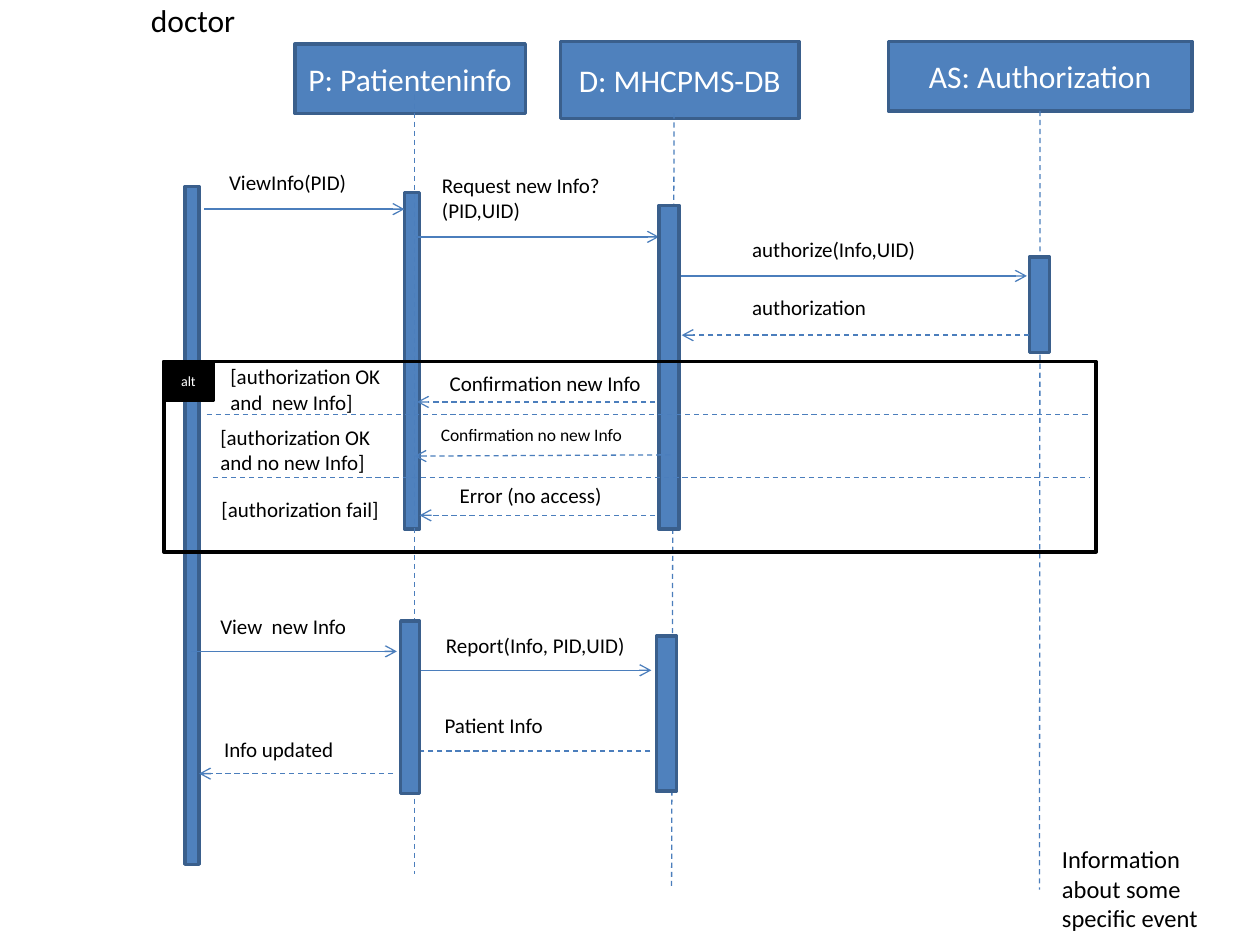
from lxml.etree import SubElement
from pptx import Presentation
from pptx.dml.color import RGBColor as RGB
from pptx.enum.dml import MSO_LINE as Dash
from pptx.enum.shapes import MSO_CONNECTOR as Conn, MSO_SHAPE as Shape
from pptx.enum.text import MSO_ANCHOR as Anchor, MSO_AUTO_SIZE as Fit, PP_ALIGN as Align
from pptx.oxml.ns import qn
from pptx.util import Inches, Pt

COLORS = {"blue": "4F81BD", "edge": "3A5F8C", "wire": "4B7EBC",
          "black": "000000", "white": "FFFFFF"}


class Diagram:
    """Holds the style and the slide of a sequence diagram."""
    font = "Calibri"

    def __init__(self, slide):
        self.slide = slide

    def color(self, name):
        return RGB.from_string(COLORS[name])

    def set_text(self, frame, text, size, color):
        frame.text = text
        frame.word_wrap = True
        for par in frame.paragraphs:
            for run in par.runs:
                run.font.name = self.font
                run.font.size = Pt(size)
                run.font.color.rgb = self.color(color)

    def box(self, place, text="", size=18, fill="blue", edge="edge"):
        rect = self.slide.shapes.add_shape(Shape.RECTANGLE, *map(Inches, place))
        rect.shadow.inherit = False
        if fill:
            rect.fill.solid()
            rect.fill.fore_color.rgb = self.color(fill)
        else:
            rect.fill.background()
        rect.line.color.rgb = self.color(edge)
        rect.line.width = Pt(2)
        if text:
            frame = rect.text_frame
            self.set_text(frame, text, size, "white")
            frame.vertical_anchor = Anchor.MIDDLE
            frame.paragraphs[0].alignment = Align.CENTER
        return rect

    def label(self, place, text, size=12):
        frame = self.slide.shapes.add_textbox(*map(Inches, place)).text_frame
        self.set_text(frame, text, size, "black")
        frame.auto_size = Fit.SHAPE_TO_FIT_TEXT

    def line(self, start, end, dash=True, arrow=False):
        wire = self.slide.shapes.add_connector(
            Conn.STRAIGHT, *map(Inches, (*start, *end)))
        wire.line.color.rgb = self.color("wire")
        wire.line.width = Pt(0.75)
        if dash:
            wire.line.dash_style = Dash.DASH
        props = wire.element.spPr
        if arrow:
            SubElement(props.find(qn("a:ln")), qn("a:tailEnd"), type="arrow")
        SubElement(props, qn("a:effectLst"))
        return wire

    def message(self, x1, x2, y, dash=False, drop=0):
        self.line((x1, y), (x2, y + drop), dash, arrow=True)


HEADS = [
    ((2.34, 0.35, 1.83, 0.55), "P: Patienteninfo"),
    ((4.45, 0.33, 1.89, 0.61), "D: MHCPMS-DB"),
    ((7.05, 0.33, 2.41, 0.55), "AS: Authorization"),
]
BACK_BARS = [(1.47, 1.48, 0.11, 5.38), (3.21, 1.53, 0.12, 2.67)]
FRONT_BARS = [
    (5.23, 1.63, 0.16, 2.57), (8.17, 2.04, 0.16, 0.76),
    (3.18, 4.93, 0.15, 1.37), (5.21, 5.05, 0.16, 1.23),
]
# from x, to x, y, dashed
CALLS = [
    (1.62, 3.21, 1.66), (3.3, 5.23, 1.88), (5.3, 8.15, 2.19),
    (1.52, 3.15, 5.17), (3.21, 5.17, 5.32), (5.16, 3.24, 5.96, True),
]
# from x, to x, y, dashed, drop
REPLIES = [
    (8.17, 5.41, 2.66, True), (5.2, 3.31, 3.19, True),
    (5.32, 3.29, 3.61, True, 0.01), (5.2, 3.33, 4.09, True),
    (3.12, 1.58, 6.14, True),
]
LABELS = [
    ((1.1, -0.04, 0.9, 0.4), "doctor", 18),
    ((1.72, 1.3, 1.44, 0.3), "ViewInfo(PID)"),
    ((3.41, 1.32, 1.87, 0.5), "Request new Info? (PID,UID)"),
    ((5.87, 1.83, 1.65, 0.3), "authorize(Info,UID)"),
    ((5.87, 2.29, 1.65, 0.3), "authorization"),
    ((1.73, 2.84, 1.53, 0.5), "[authorization OK and  new Info]"),
    ((3.47, 2.89, 1.88, 0.3), "Confirmation new Info"),
    ((1.65, 3.32, 1.53, 0.5), "[authorization OK and no new Info]"),
    ((3.4, 3.32, 1.77, 0.27), "Confirmation no new Info", 10),
    ((1.66, 3.89, 1.53, 0.3), "[authorization fail]"),
    ((3.55, 3.78, 1.65, 0.3), "Error (no access)"),
    ((1.65, 4.82, 1.44, 0.3), "View  new Info"),
    ((3.44, 4.97, 1.65, 0.3), "Report(Info, PID,UID)"),
    ((3.43, 5.61, 1.65, 0.3), "Patient Info"),
    ((1.68, 5.8, 1.44, 0.3), "Info updated"),
    ((8.33, 6.65, 1.42, 0.81), "Information about some specific event", 14),
]


def main():
    deck = Presentation()
    deck.slide_width, deck.slide_height = Inches(10), Inches(7.5)
    chart = Diagram(deck.slides.add_slide(deck.slide_layouts[6]))

    heads = [chart.box(*head) for head in HEADS]
    for bar in BACK_BARS:
        chart.box(bar)
    chart.line((3.29, 0.75), (3.29, 6.94))
    chart.line((5.35, 0.9), (5.33, 7.06))
    chart.line((8.25, 0.88), (8.25, 7.06)).begin_connect(heads[2], 2)

    for call in CALLS:
        chart.message(*call)
    for bar in FRONT_BARS:
        chart.box(bar)
    for reply in REPLIES:
        chart.message(*reply)

    chart.box((1.3, 2.87, 7.4, 1.51), fill=None, edge="black")
    chart.box((1.3, 2.87, 0.39, 0.31), "alt", 8, "black", "black")
    for x, y in ((1.64, 3.29), (1.69, 3.79)):
        chart.line((x, y), (8.65, y))
    for item in LABELS:
        chart.label(*item)

    deck.save("out.pptx")


if __name__ == "__main__":
    main()
